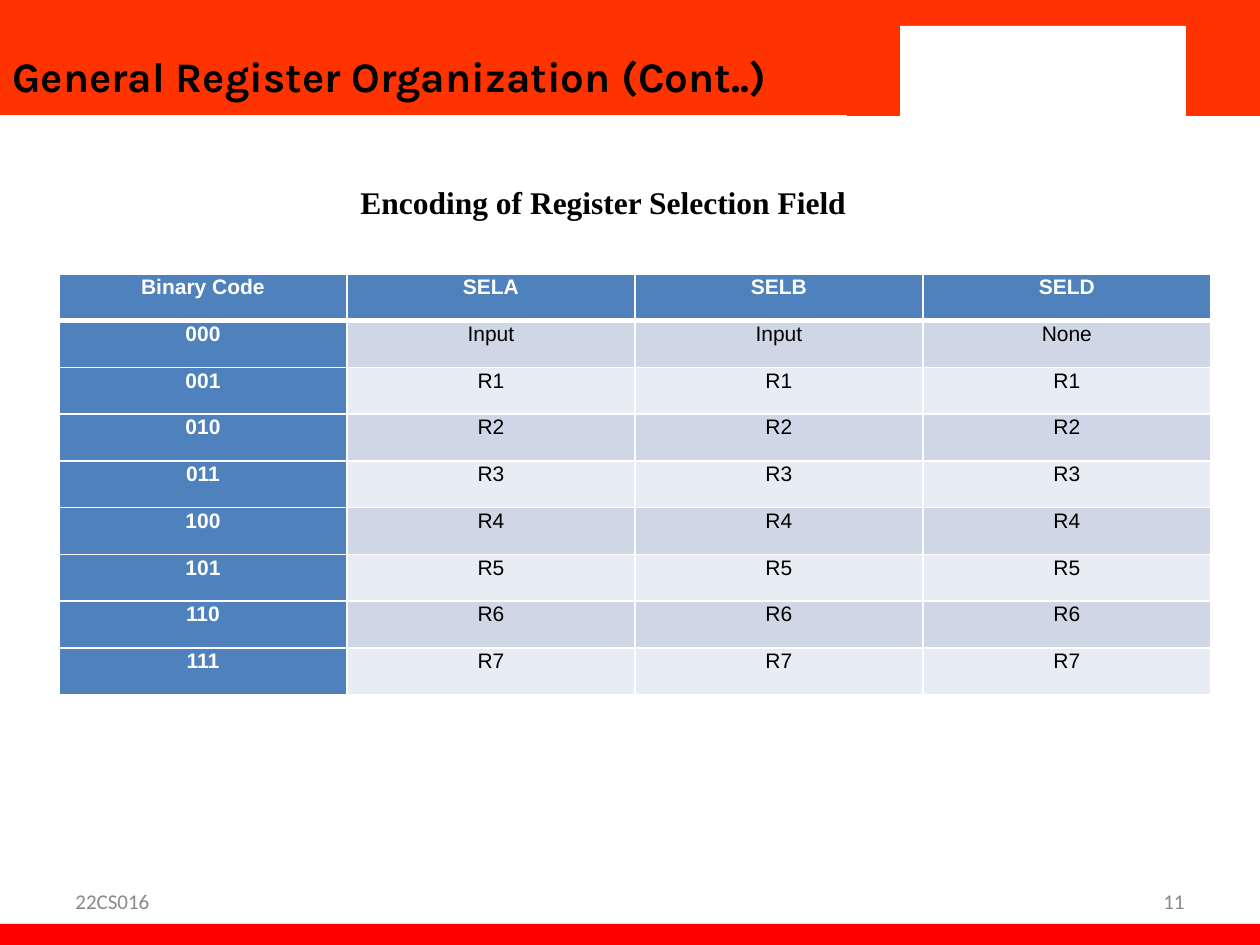
from typing import NamedTuple

from lxml import etree
from pptx import Presentation
from pptx import util as u
from pptx.dml.color import RGBColor
from pptx.enum import shapes, text
from pptx.oxml.ns import qn

EMU_PER_PX = 914400 / 126
COLORS = {
    "orange": "FF3300", "red": "FF0000", "white": "FFFFFF", "black": "000000",
    "gray": "898989", "blue": "4F81BD", "dark_band": "CFD7E7", "light_band": "E8ECF4",
}
HEADINGS = ["Binary Code", "SELA", "SELB", "SELD"]
ENCODINGS = [["000", "Input", "Input", "None"]] + [
    [f"{code:03b}"] + [f"R{code}"] * 3 for code in range(1, 8)
]


class Box(NamedTuple):
    left: int
    top: int
    width: int
    height: int


class Band(NamedTuple):
    box: Box
    color: str


class Label(NamedTuple):
    box: Box
    words: str
    style: dict


BANDS = [
    Band(Box(0, 0, 1260, 115), "orange"),
    Band(Box(0, 924, 1260, 28), "red"),
    Band(Box(847, 0, 413, 116), "orange"),
    Band(Box(900, 26, 286, 95), "white"),
]
FOOTER = dict(size=12, font="Calibri", color="gray", anchor=text.MSO_ANCHOR.MIDDLE)
LABELS = [
    Label(Box(63, 876, 294, 50), "22CS016", FOOTER),
    Label(Box(903, 876, 294, 50), "11", FOOTER | {"align": text.PP_ALIGN.RIGHT}),
    Label(Box(0, 19, 890, 78), "General Register Organization (Cont..)",
          dict(size=24, font="Karla", bold=True, spacing=1.5)),
    Label(Box(348, 174, 672, 52), "Encoding of Register Selection Field",
          dict(size=18, font="Times New Roman", bold=True, spacing=1.07)),
]
TABLE_BOX = Box(59, 274, 1152, 421)


def px(length: float) -> u.Emu:
    return u.Emu(round(length * EMU_PER_PX))


def rgb(name: str) -> RGBColor:
    return RGBColor.from_string(COLORS[name])


def write(frame, words: str, *, size: int, font: str, color: str = "black",
          bold: bool = False, align=text.PP_ALIGN.LEFT,
          anchor=text.MSO_ANCHOR.TOP, spacing: float = 1.0) -> None:
    frame.word_wrap = True
    frame.vertical_anchor = anchor
    paragraph = frame.paragraphs[0]
    paragraph.alignment = align
    paragraph.line_spacing = spacing
    run = paragraph.add_run()
    run.text = words
    run.font.size = u.Pt(size)
    run.font.name = font
    run.font.bold = bold
    run.font.color.rgb = rgb(color)


def draw_band(slide, band: Band) -> None:
    bar = slide.shapes.add_shape(shapes.MSO_SHAPE.RECTANGLE, *map(px, band.box))
    bar.shadow.inherit = False
    bar.fill.solid()
    bar.fill.fore_color.rgb = rgb(band.color)
    bar.line.fill.background()


def draw_label(slide, label: Label) -> None:
    holder = slide.shapes.add_textbox(*map(px, label.box))
    write(holder.text_frame, label.words, **label.style)


def set_borders(cell, bottom: int, top: int) -> None:
    properties = cell._tc.get_or_add_tcPr()
    widths = {"a:lnL": 1, "a:lnR": 1, "a:lnT": top, "a:lnB": bottom}
    for index, (side, points) in enumerate(widths.items()):
        line = etree.Element(qn(side), w=str(u.Pt(points)))
        fill = etree.SubElement(line, qn("a:solidFill"))
        etree.SubElement(fill, qn("a:srgbClr"), val=COLORS["white"])
        properties.insert(index, line)


def draw_table(slide, box: Box, rows: list[list[str]]) -> None:
    table = slide.shapes.add_table(len(rows), len(rows[0]), *map(px, box)).table
    for column in table.columns:
        column.width = px(box.width / len(rows[0]))
    for r, row in enumerate(rows):
        table.rows[r].height = px(box.height / len(rows))
        for c, words in enumerate(row):
            cell = table.cell(r, c)
            heading = r == 0 or c == 0
            band = "dark_band" if r % 2 else "light_band"
            cell.fill.solid()
            cell.fill.fore_color.rgb = rgb("blue" if heading else band)
            cell.margin_left = cell.margin_right = px(9)
            cell.margin_top = cell.margin_bottom = 0
            set_borders(cell, bottom=3 if r == 0 else 1, top=3 if r == 1 else 1)
            write(cell.text_frame, words, size=12, font="Arial", bold=heading,
                  color="white" if heading else "black",
                  align=text.PP_ALIGN.CENTER, spacing=1.07)


def main() -> None:
    deck = Presentation()
    deck.slide_width, deck.slide_height = px(1260), px(945)
    slide = deck.slides.add_slide(deck.slide_layouts[6])
    for band in BANDS:
        draw_band(slide, band)
    for label in LABELS:
        draw_label(slide, label)
    draw_table(slide, TABLE_BOX, [HEADINGS] + ENCODINGS)
    deck.save("out.pptx")


if __name__ == "__main__":
    main()
